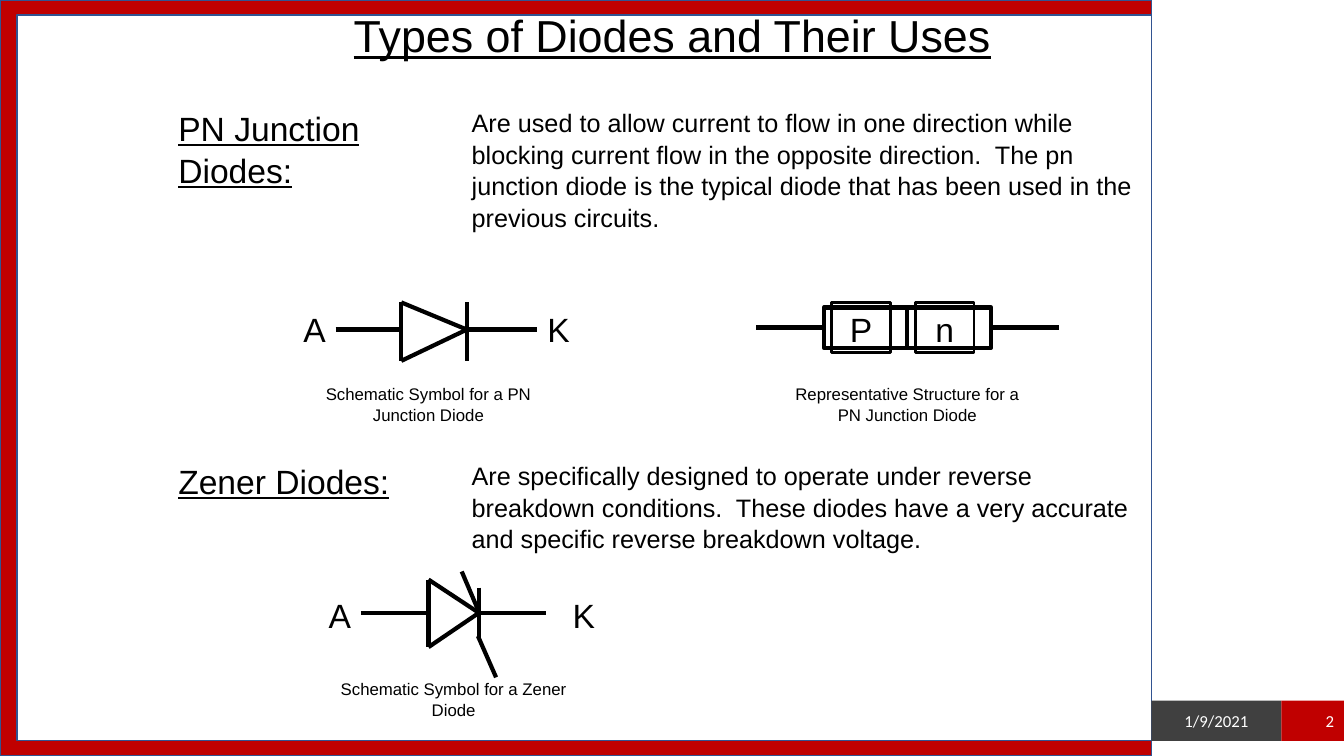
from lxml import etree
from pptx import Presentation
from pptx.dml.color import RGBColor
from pptx.enum import shapes, text
from pptx.oxml import ns
from pptx.util import Inches, Pt


class Theme:
    red = RGBColor(0xC0, 0x00, 0x00)
    blue = RGBColor(0x32, 0x54, 0x91)
    gray = RGBColor(0x40, 0x40, 0x40)
    white = RGBColor(0xFF, 0xFF, 0xFF)
    black = RGBColor(0x00, 0x00, 0x00)
    wire = Pt(3)
    plain = {"name": "Arial", "underline": False}
    title = plain | {"size": Pt(32), "underline": True}
    heading = plain | {"size": Pt(24), "underline": True}
    body = plain | {"size": Pt(18)}
    letter = plain | {"size": Pt(24)}
    caption = plain | {"size": Pt(12)}
    footer = {"name": "Calibri", "size": Pt(12)}


LEFT, CENTER, RIGHT = text.PP_ALIGN.LEFT, text.PP_ALIGN.CENTER, text.PP_ALIGN.RIGHT
TOP, MIDDLE = text.MSO_ANCHOR.TOP, text.MSO_ANCHOR.MIDDLE


def write(box, words, style, align=LEFT, color=Theme.black, anchor=TOP, spacing=1.05):
    frame = box.text_frame
    frame.word_wrap = True
    frame.auto_size = text.MSO_AUTO_SIZE.NONE
    frame.vertical_anchor = anchor
    para = frame.paragraphs[0]
    para.alignment = align
    para.line_spacing = spacing
    span = para.add_run()
    span.text = words
    span.font.color.rgb = color
    for name, value in style.items():
        setattr(span.font, name, value)


def add_rect(place, fill=None, line=None, width=Pt(1)):
    rect = page.shapes.add_shape(shapes.MSO_SHAPE.RECTANGLE, *map(Inches, place))
    rect.shadow.inherit = False
    for part, color in ((rect.fill, fill), (rect.line.fill, line)):
        if color is None:
            part.background()
        else:
            part.solid()
            part.fore_color.rgb = color
    if line is not None:
        rect.line.width = width
    return rect


deck = Presentation()
deck.slide_width, deck.slide_height = Inches(13.33), Inches(7.5)
page = deck.slides.add_slide(deck.slide_layouts[5])

# Frame, with the title brought in front of it
add_rect((0, 0, 11.42, 7.5), Theme.red, Theme.blue)
add_rect((0.17, 0.15, 11.25, 7.2), Theme.white, Theme.blue)
title = page.shapes.title
page.shapes.element.append(title.element)
for side, length in {"left": 2.67, "top": 0, "width": 8, "height": 0.63}.items():
    setattr(title, side, Inches(length))
write(title, "Types of Diodes and Their Uses", Theme.title, CENTER)

# Headings, descriptions, terminal letters and captions
labels = [
    ((1.67, 1, 2.83, 0.91), "PN Junction Diodes:", Theme.heading, LEFT),
    ((4.58, 1, 7.08, 1.31),
     "Are used to allow current to flow in one direction while blocking current flow "
     "in the opposite direction.  The pn junction diode is the typical diode that has "
     "been used in the previous circuits.", Theme.body, LEFT),
    ((2.83, 3, 0.58, 0.5), "A", Theme.letter, CENTER),
    ((5.25, 3, 0.58, 0.5), "K", Theme.letter, CENTER),
    ((3, 3.75, 2.5, 0.5), "Schematic Symbol for a PN Junction Diode", Theme.caption, CENTER),
    ((7.75, 3.75, 2.5, 0.5), "Representative Structure for a PN Junction Diode",
     Theme.caption, CENTER),
    ((1.67, 4.5, 2.83, 0.5), "Zener Diodes:", Theme.heading, LEFT),
    ((4.58, 4.5, 6.79, 1.01),
     "Are specifically designed to operate under reverse breakdown conditions.  These "
     "diodes have a very accurate and specific reverse breakdown voltage.",
     Theme.body, LEFT),
    ((3.08, 5.83, 0.58, 0.5), "A", Theme.letter, CENTER),
    ((5.5, 5.83, 0.58, 0.5), "K", Theme.letter, CENTER),
    ((3.25, 6.67, 2.5, 0.5), "Schematic Symbol for a Zener Diode", Theme.caption, CENTER),
]
for place, words, style, align in labels:
    write(page.shapes.add_textbox(*map(Inches, place)), words, style, align)

# Structure of the junction: two blocks, each with a boxed letter
blocks = []
for index, letter in enumerate("Pn"):
    shift = index * 0.83
    blocks.append(add_rect((8.17 + shift, 3.05, 0.83, 0.4), line=Theme.black, width=Theme.wire))
    letter_box = add_rect((8.25 + shift, 3, 0.58, 0.5), line=Theme.black, width=Pt(2))
    write(letter_box, letter, Theme.letter, CENTER)

# Diode symbols: anode x, triangle x, bar x, cathode x, axis y, triangle ys, bar ys
pn_symbol = page.shapes.add_group_shape()
symbols = [
    (pn_symbol.shapes, 3.33, 3.98, 4.63, 5.33, 3.27, (3, 3.58), (3, 3.58)),
    (page.shapes, 3.58, 4.25, 4.75, 5.42, 6.08, (5.75, 6.42), (5.83, 6.33)),
]
wires = []
for canvas, anode, base, bar, cathode, axis, (top, bottom), (bar_top, bar_bottom) in symbols:
    for ends in (
        (anode, axis, base, axis),
        (base, top, base, bottom),
        (base, top, bar, axis),
        (base, bottom, bar, axis),
        (bar, bar_top, bar, bar_bottom),
        (bar, axis, cathode, axis),
    ):
        wires.append((canvas, ends, None))
wires.append((page.shapes, (8.17, 3.25, 7.5, 3.25), (blocks[0], 1)))
wires.append((page.shapes, (9.83, 3.25, 10.5, 3.25), (blocks[1], 3)))

for canvas, ends, joint in wires:
    wire = canvas.add_connector(shapes.MSO_CONNECTOR.STRAIGHT, *map(Inches, ends))
    if joint:
        wire.begin_connect(*joint)
    wire.line.color.rgb = Theme.black
    wire.line.width = Theme.wire
    etree.SubElement(wire.element.spPr, ns.qn("a:effectLst"))

# Bent ends of the Zener bar
for start, end in (((4.75, 6.07), (4.58, 5.67)), ((4.92, 6.72), (4.74, 6.31))):
    outline = page.shapes.build_freeform(*map(Inches, start))
    outline.add_line_segments([tuple(map(Inches, end))], close=False)
    bend = outline.convert_to_shape()
    bend.shadow.inherit = False
    bend.fill.background()
    bend.line.color.rgb = Theme.black
    bend.line.width = Theme.wire

# Date and page number
for place, fill, words, align in (
    ((11.42, 6.95, 1.29, 0.4), Theme.gray, "1/9/2021", CENTER),
    ((12.71, 6.95, 0.62, 0.4), Theme.red, "2", RIGHT),
):
    write(add_rect(place, fill), words, Theme.footer, align, Theme.white, MIDDLE, 1.0)

deck.save("out.pptx")
